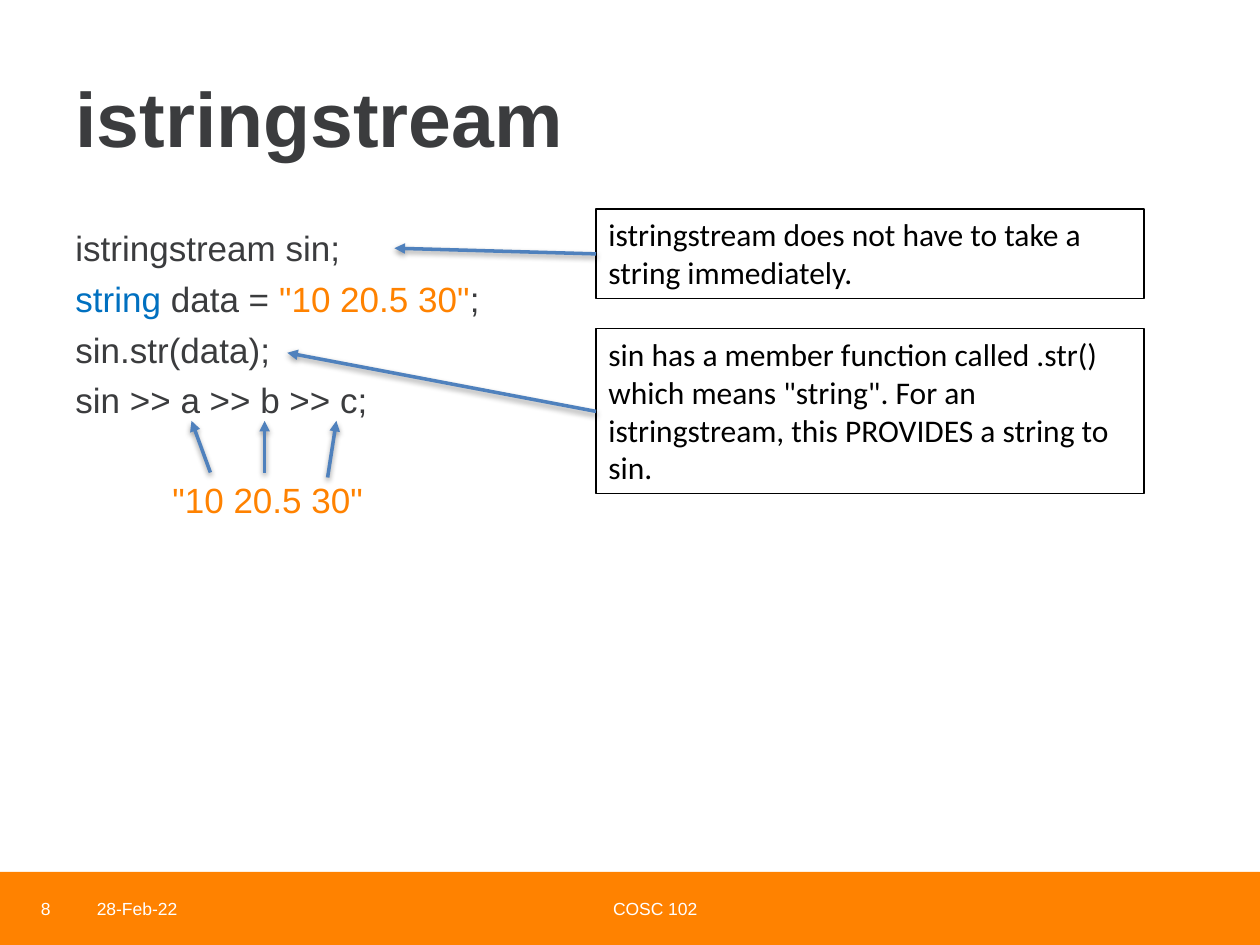
"""Builds a slide that explains how an istringstream is given its string."""
import pptx
import pptx.dml.color
import pptx.enum.shapes
import pptx.enum.text
import pptx.oxml
import pptx.oxml.ns
import pptx.util

Inches = pptx.util.Inches
Pt = pptx.util.Pt
ALIGN = pptx.enum.text.PP_ALIGN
ANCHOR = pptx.enum.text.MSO_ANCHOR


def colour(value):
    return pptx.dml.color.RGBColor.from_string(value)


class SlideWriter:
    ORANGE, INK, KEYWORD = "FF8200", "3B3C3E", "0070C0"
    WHITE, BLACK, ARROW = "FFFFFF", "000000", "4F81BD"
    SHADOW = (
        f'<a:effectLst {pptx.oxml.ns.nsdecls("a")}>'
        '<a:outerShdw blurRad="40000" dist="20000" dir="5400000" rotWithShape="0">'
        '<a:srgbClr val="000000"><a:alpha val="38000"/></a:srgbClr>'
        '</a:outerShdw></a:effectLst>'
    )

    def __init__(self, page):
        self.page = page

    def rectangle(self, bounds, fill=None, line=None):
        box = self.page.shapes.add_shape(
            pptx.enum.shapes.MSO_SHAPE.RECTANGLE, *map(Inches, bounds))
        box.shadow.inherit = False
        if fill:
            box.fill.solid()
            box.fill.fore_color.rgb = colour(fill)
        else:
            box.fill.background()
        if line:
            box.line.color.rgb = colour(line)
            box.line.width = Pt(0.75)
        else:
            box.line.fill.background()
        return box

    def span(self, para, text, size, ink, font="Arial", bold=False):
        span = para.add_run()
        span.text = text
        span.font.name = font
        span.font.size = Pt(size)
        span.font.bold = bold
        span.font.color.rgb = colour(ink)

    def frame(self, bounds, anchor=ANCHOR.TOP):
        frame = self.page.shapes.add_textbox(*map(Inches, bounds)).text_frame
        frame.word_wrap = True
        frame.vertical_anchor = anchor
        return frame

    def label(self, bounds, text, size, ink, align=ALIGN.LEFT, bold=False):
        para = self.frame(bounds, ANCHOR.MIDDLE).paragraphs[0]
        para.alignment = align
        self.span(para, text, size, ink, bold=bold)

    def code(self, bounds, lines):
        frame = self.frame(bounds)
        for number, (indent, before, spans) in enumerate(lines):
            para = frame.add_paragraph() if number else frame.paragraphs[0]
            para.space_before = Pt(before)
            para._p.get_or_add_pPr().set("marL", str(Inches(indent)))
            for text, ink in spans:
                self.span(para, text, 20, ink)

    def note(self, bounds, text):
        box = self.rectangle(bounds, line=self.BLACK)
        frame = box.text_frame
        frame.word_wrap = True
        frame.vertical_anchor = ANCHOR.TOP
        para = frame.paragraphs[0]
        para.alignment = ALIGN.LEFT
        self.span(para, text, 18, self.BLACK, "Calibri")
        return box

    def arrow(self, start, end, source=None):
        arrow = self.page.shapes.add_connector(
            pptx.enum.shapes.MSO_CONNECTOR.STRAIGHT, *map(Inches, (*start, *end)))
        if source is not None:
            arrow.begin_connect(source, 1)
        arrow.line.color.rgb = colour(self.ARROW)
        arrow.line.width = Pt(2)
        head = pptx.oxml.parse_xml(
            f'<a:tailEnd {pptx.oxml.ns.nsdecls("a")} type="triangle"/>')
        arrow.line._get_or_add_ln().append(head)
        arrow._element.spPr.append(pptx.oxml.parse_xml(self.SHADOW))


def main():
    deck = pptx.Presentation()
    deck.slide_width, deck.slide_height = Inches(10), Inches(7.5)
    writer = SlideWriter(deck.slides.add_slide(deck.slide_layouts[6]))
    ink, orange, white = writer.INK, writer.ORANGE, writer.WHITE

    writer.rectangle((0, 6.92, 10, 0.58), fill=orange)
    for left, width, text, align in (
        (0.09, 0.41, "8", ALIGN.RIGHT),
        (0.67, 1.43, "28-Feb-22", ALIGN.LEFT),
        (3.42, 3.56, "COSC 102", ALIGN.CENTER),
    ):
        writer.label((left, 7.01, width, 0.4), text, 10, white, align)

    writer.label((0.5, 0.3, 9, 1.25), "istringstream", 44, ink, bold=True)
    values = '"10 20.5 30"'
    writer.code((0.5, 1.75, 4.35, 2.77), (
        (0, 5, [("istringstream sin;", ink)]),
        (0, 5, [("string", writer.KEYWORD), (" data = ", ink),
                (values, orange), (";", ink)]),
        (0, 5, [("sin.str(data);", ink)]),
        (0, 5, [("sin >> a >> b >> c;", ink)]),
        (0.77, 33, [(values, orange)]),
    ))

    for top, height, tip, text in (
        (1.66, 0.71, (3.13, 1.97),
         "istringstream does not have to take a string immediately."),
        (2.61, 1.31, (2.28, 2.8),
         'sin has a member function called .str() which means "string". '
         "For an istringstream, this PROVIDES a string to sin."),
    ):
        note = writer.note((4.73, top, 4.35, height), text)
        writer.arrow((4.73, top + height / 2), tip, note)

    for start, tip in (((1.67, 3.75), 1.52), ((2.1, 3.75), 2.1), ((2.6, 3.79), 2.67)):
        writer.arrow(start, (tip, 3.34))

    deck.save("out.pptx")


if __name__ == "__main__":
    main()
